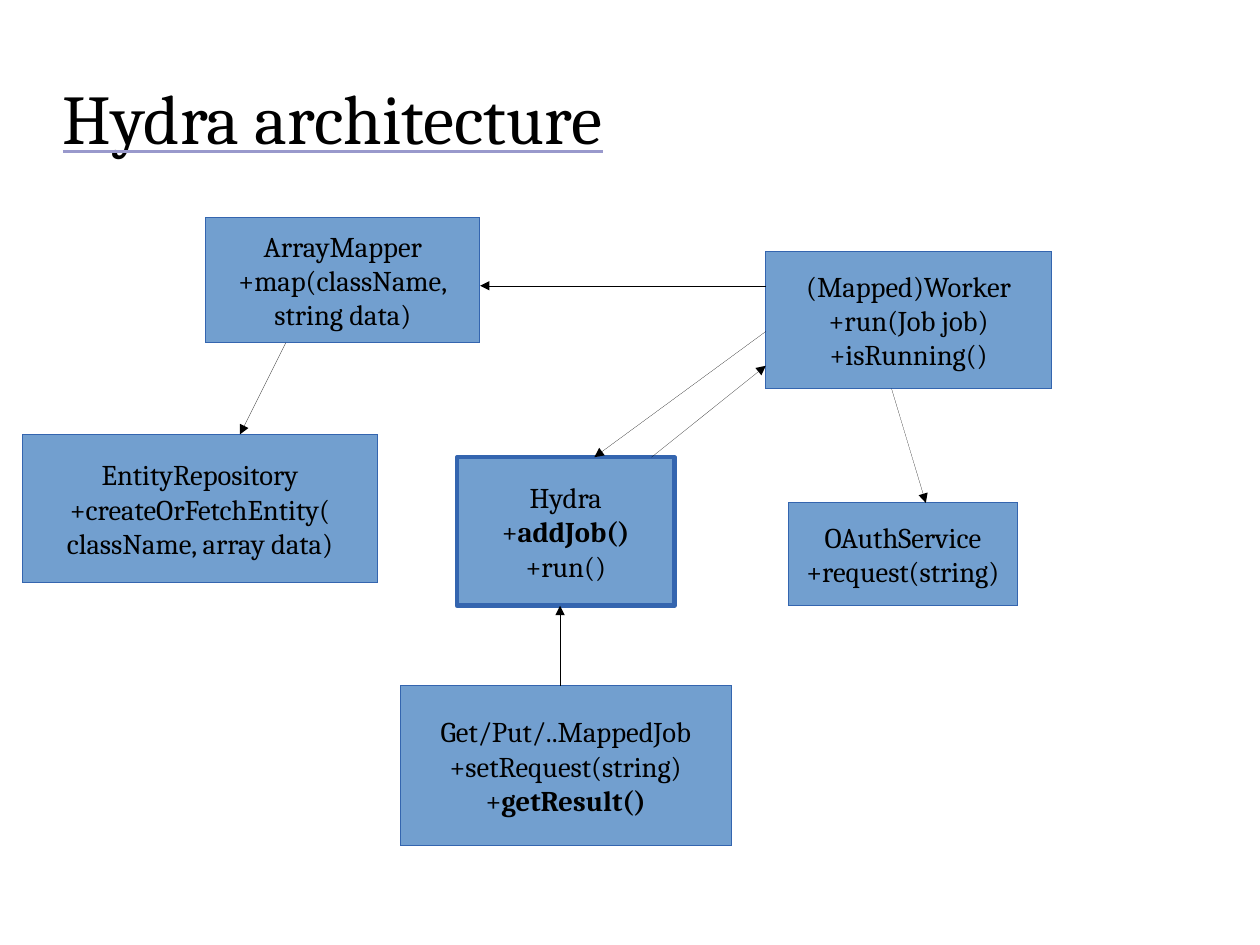
from dataclasses import dataclass

from lxml.etree import SubElement
from pptx import Presentation
from pptx.dml.color import RGBColor
from pptx.enum.shapes import MSO_CONNECTOR, MSO_SHAPE
from pptx.enum.text import MSO_ANCHOR, MSO_AUTO_SIZE, PP_ALIGN
from pptx.oxml import parse_xml
from pptx.oxml.ns import nsdecls, qn
from pptx.slide import Slide
from pptx.util import Pt

COLORS = {"text": "000000", "fill": "729FCF", "border": "3465AF", "underline": "9999CC"}
FONT = "Cambria"
HAIRLINE = 0.01


@dataclass
class ClassBox:
    left: float
    top: float
    width: float
    height: float
    lines: list[str]
    bold: str = ""  # method name to emphasise
    border: float = HAIRLINE
    inset_x: float = 7.2
    inset_y: float = 3.6


@dataclass
class Arrow:
    x1: float
    y1: float
    x2: float
    y2: float


BOXES = [
    ClassBox(288, 288, 136.8, 93.6, ["Hydra", "+addJob()", "+run()"],
             bold="addJob()", border=2.89, inset_x=8.64, inset_y=5.04),
    ClassBox(482.4, 158.4, 180, 86.4, ["(Mapped)Worker", "+run(Job job)", "+isRunning()"]),
    ClassBox(496.8, 316.8, 144, 64.8, ["OAuthService", "+request(string)"]),
    ClassBox(252, 432, 208.8, 100.8,
             ["Get/Put/..MappedJob", "+setRequest(string)", "+getResult()"], bold="getResult()"),
    ClassBox(129.6, 136.8, 172.8, 79.2, ["ArrayMapper", "+map(className,", "string data)"]),
    ClassBox(14.4, 273.6, 223.2, 93.6,
             ["EntityRepository", "+createOrFetchEntity(", "className, array data)"]),
]

ARROWS = [
    Arrow(352.8, 432, 352.8, 381.6),  # job to Hydra
    Arrow(410.4, 288, 482.4, 230.4),  # Hydra to worker
    Arrow(482.4, 208.8, 374.4, 288),  # worker to Hydra
    Arrow(482.4, 180, 302.4, 180),  # worker to mapper
    Arrow(180, 216, 151.2, 273.6),  # mapper to repository
    Arrow(561.6, 244.8, 583.2, 316.8),  # worker to OAuth
]


def rgb(name: str) -> RGBColor:
    return RGBColor.from_string(COLORS[name])


def add_text(p, text: str, size: float = 18, bold: bool = False, underline: bool = False):
    r = p.add_run()
    r.text = text
    r.font.name = FONT
    r.font.size = Pt(size)
    r.font.bold = bold
    r.font.underline = underline
    r.font.color.rgb = rgb("text")
    return r


def set_frame(tf, inset_x: float, inset_y: float, wrap: bool) -> None:
    tf.auto_size = MSO_AUTO_SIZE.NONE
    tf.word_wrap = wrap
    tf.vertical_anchor = MSO_ANCHOR.MIDDLE
    tf.margin_left = tf.margin_right = Pt(inset_x)
    tf.margin_top = tf.margin_bottom = Pt(inset_y)


def draw_title(s: Slide, text: str) -> None:
    sp = s.shapes.title
    sp.left, sp.top, sp.width, sp.height = Pt(39.6), Pt(23.76), Pt(714.24), Pt(99.36)
    set_frame(sp.text_frame, 0, 0, True)
    p = sp.text_frame.paragraphs[0]
    p.alignment = PP_ALIGN.LEFT
    r = add_text(p, text, size=44, underline=True)
    # Coloured underline
    r.font._element.find(qn("a:latin")).addprevious(parse_xml(
        f'<a:uFill {nsdecls("a")}><a:solidFill><a:srgbClr val="{COLORS["underline"]}"/>'
        "</a:solidFill></a:uFill>"))


def draw_box(s: Slide, box: ClassBox) -> None:
    sp = s.shapes.add_shape(MSO_SHAPE.RECTANGLE, Pt(box.left), Pt(box.top),
                            Pt(box.width), Pt(box.height))
    sp.shadow.inherit = False
    sp.fill.solid()
    sp.fill.fore_color.rgb = rgb("fill")
    sp.line.color.rgb = rgb("border")
    sp.line.width = Pt(box.border)
    tf = sp.text_frame
    set_frame(tf, box.inset_x, box.inset_y, False)
    for i, line in enumerate(box.lines):
        p = tf.add_paragraph() if i else tf.paragraphs[0]
        p.alignment = PP_ALIGN.CENTER
        if box.bold and line.endswith(box.bold):
            add_text(p, line.removesuffix(box.bold))
            add_text(p, box.bold, bold=True)
        else:
            add_text(p, line)


def draw_arrow(s: Slide, arrow: Arrow) -> None:
    line = s.shapes.add_connector(MSO_CONNECTOR.STRAIGHT, Pt(arrow.x1), Pt(arrow.y1),
                                  Pt(arrow.x2), Pt(arrow.y2))
    line.line.color.rgb = rgb("text")
    line.line.width = Pt(HAIRLINE)
    SubElement(line.line._get_or_add_ln(), qn("a:tailEnd"), type="triangle")
    SubElement(line._element.spPr, qn("a:effectLst"))


def main() -> None:
    prs = Presentation()
    prs.slide_width, prs.slide_height = Pt(793.7), Pt(595.28)
    s = prs.slides.add_slide(prs.slide_layouts[5])

    # Title
    draw_title(s, "Hydra architecture")

    # Class diagram
    for box in BOXES:
        draw_box(s, box)
    for arrow in ARROWS:
        draw_arrow(s, arrow)

    prs.save("out.pptx")


if __name__ == "__main__":
    main()
